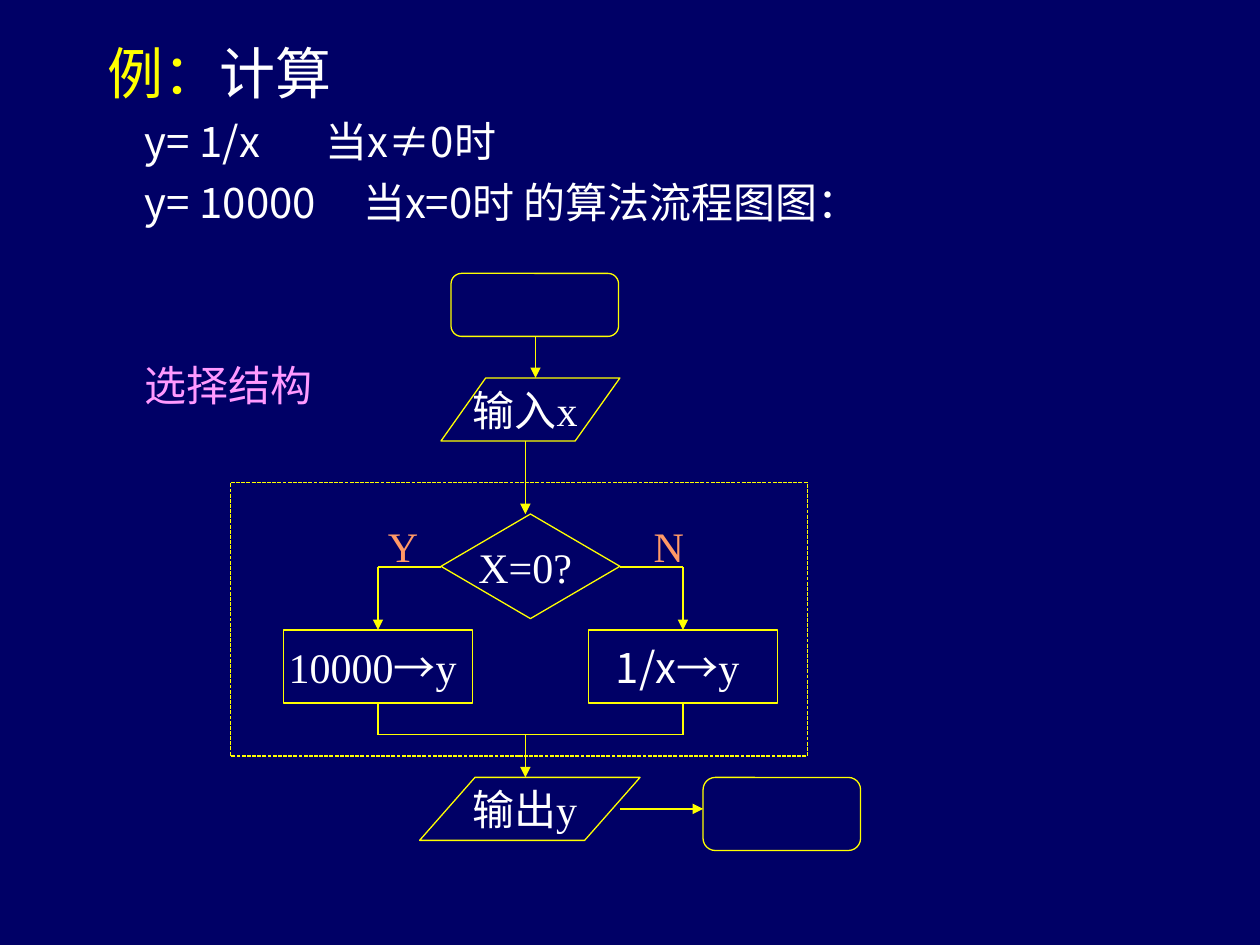
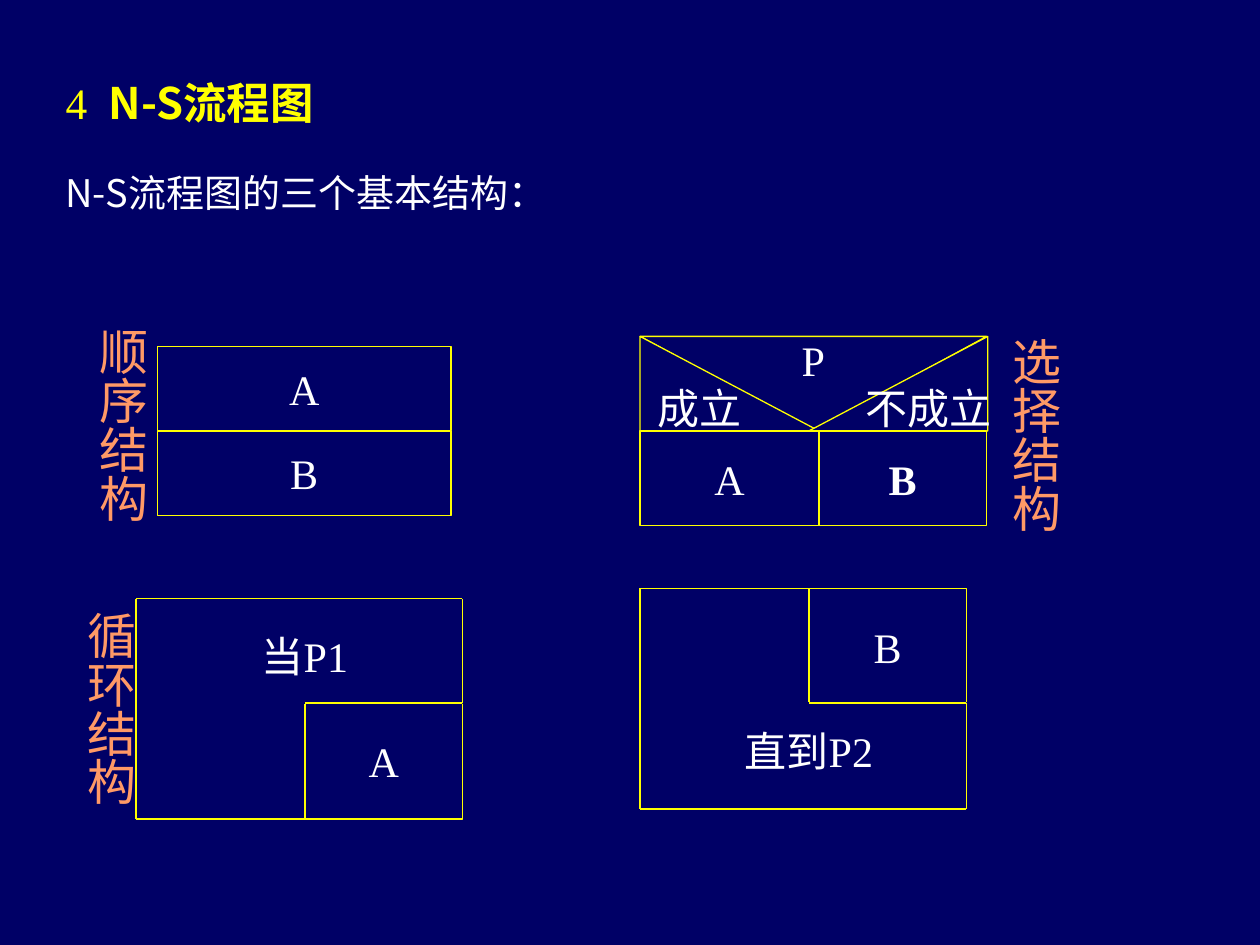
from lxml import etree
from pptx import Presentation
from pptx.dml.color import RGBColor
from pptx.enum import dml, shapes, text
from pptx.oxml import ns
from pptx.util import Inches, Pt

# Shared style
NAVY, YELLOW, WHITE, ORANGE, PINK = "000066", "FFFF00", "FFFFFF", "FF9966", "FF99FF"
SANS, SERIF = "Noto Sans CJK SC", "Times New Roman"
LEFT, CENTER = text.PP_ALIGN.LEFT, text.PP_ALIGN.CENTER
LINE_WIDTH = Pt(0.75)


def rgb(hex_colour):
    return RGBColor.from_string(hex_colour)


def write(paragraph, *runs, size=24, font=SERIF, colour=WHITE, bold=False,
          align=LEFT, before=0, line=None):
    """Fill a paragraph; a run is a string or (string, own format)."""
    paragraph.alignment = align
    paragraph.space_before = Pt(before)
    if line:
        paragraph.line_spacing = Pt(line)
    properties = paragraph._p.get_or_add_pPr()
    properties.set("marL", "0")
    properties.set("indent", "0")
    etree.SubElement(properties, ns.qn("a:buNone"))
    for item in runs:
        words, own = (item, {}) if isinstance(item, str) else item
        run = paragraph.add_run()
        run.text = words
        run.font.size = Pt(size)
        run.font.name = own.get("font", font)
        run.font.bold = own.get("bold", bold)
        run.font.color.rgb = rgb(own.get("colour", colour))
        run_properties = run._r.get_or_add_rPr()
        if "spacing" in own:
            run_properties.set("spc", str(round(own["spacing"] * 100)))
        etree.SubElement(run_properties, ns.qn("a:ea"), typeface=SANS)


presentation = Presentation()
presentation.slide_width, presentation.slide_height = Inches(10), Inches(7.5)
background = presentation.slide_master.background.fill
background.solid()
background.fore_color.rgb = rgb(NAVY)
layout = presentation.slide_layouts[1]
choice_slide = presentation.slides.add_slide(layout)
ns_slide = presentation.slides.add_slide(layout)

# Titles and body text: slide, placeholder, box, paragraphs
placeholders = [
    (choice_slide, 0, (0.75, 0.27, 8.75, 0.6), [
        (["例：", ("计算", {"colour": WHITE})],
         {"size": 32, "font": SANS, "colour": YELLOW})]),
    (choice_slide, 1, (1.05, 0.87, 8.45, 2.6), [
        (["y= 1/x", (" ", {"spacing": 32.2}), "当x≠0时"],
         {"font": SANS, "line": 28.8}),
        (["y= 10000", (" ", {"spacing": 21.5}), "当x=0时 的算法流程图图："],
         {"font": SANS, "line": 28.8, "before": 6}),
        (["选择结构"], {"font": SANS, "colour": PINK, "line": 28.8, "before": 75.5})]),
    (ns_slide, 0, (0.42, 0.51, 8.83, 0.6), [
        (["4", (" ", {"spacing": 6.2}), ("N-S流程图", {"font": SANS, "bold": True})],
         {"size": 24.8, "colour": YELLOW})]),
    (ns_slide, 1, (0.42, 1.3, 8.83, 0.6), [
        (["N-S流程图的三个基本结构："], {"size": 21.7, "font": SANS, "line": 26})]),
]
for slide, index, box, paragraphs in placeholders:
    placeholder = slide.placeholders[index]
    placeholder.left, placeholder.top, placeholder.width, placeholder.height = map(Inches, box)
    frame = placeholder.text_frame
    frame.auto_size = text.MSO_AUTO_SIZE.NONE
    for number, (runs, style) in enumerate(paragraphs):
        paragraph = frame.add_paragraph() if number else frame.paragraphs[0]
        write(paragraph, *runs, **style)

# Diagram shapes: kind, box, runs, options
RECT, ROUND = shapes.MSO_SHAPE.RECTANGLE, shapes.MSO_SHAPE.ROUNDED_RECTANGLE
SLANTED, DIAMOND = shapes.MSO_SHAPE.PARALLELOGRAM, shapes.MSO_SHAPE.DIAMOND
TRIANGLE, CORNER = shapes.MSO_SHAPE.ISOSCELES_TRIANGLE, shapes.MSO_SHAPE.RIGHT_TRIANGLE

flowchart_shapes = [
    (ROUND, (3.58, 2.17, 1.33, 0.5), [], {}),
    (SLANTED, (3.5, 3, 1.42, 0.5), [("输入", {"font": SANS}), "x "], {"adjust": 0.71}),
    (RECT, (1.83, 3.83, 4.58, 2.17), [], {"dashed": True}),
    (DIAMOND, (3.5, 4.08, 1.42, 0.83), ["X=0? "], {}),
    (RECT, (2.25, 5, 1.5, 0.58), ["10000", ("→", {"font": SANS}), "y "], {}),
    (RECT, (4.67, 5, 1.5, 0.58), [("1/x→", {"font": SANS}), "y "], {}),
    (SLANTED, (3.33, 6.17, 1.75, 0.5), [("输出", {"font": SANS}), "y "], {"adjust": 0.88}),
    (ROUND, (5.58, 6.17, 1.25, 0.58), [], {}),
]
ns_shapes = [
    # Sequence
    (RECT, (1.25, 2.75, 2.33, 0.67), ["A"], {}),
    (RECT, (1.25, 3.42, 2.33, 0.67), ["B"], {}),
    # Selection
    (TRIANGLE, (5.08, 2.67, 2.75, 0.75), ["P"], {"flip": "flipV"}),
    (CORNER, (5.08, 2.67, 1.42, 0.75), ["成立"], {}),
    (CORNER, (6.42, 2.67, 1.42, 0.75), ["不成立"], {"flip": "flipH"}),
    (RECT, (5.08, 3.42, 1.42, 0.75), ["A"], {}),
    (RECT, (6.5, 3.42, 1.33, 0.75), [("B", {"bold": True})], {}),
    # Loops
    (RECT, (2.42, 5.58, 1.25, 0.92), ["A"], {}),
    (RECT, (6.42, 4.67, 1.25, 0.92), ["B"], {}),
    (RECT, (1.17, 4.83, 2.5, 0.75), ["当P1"], {"line": NAVY}),
    (RECT, (5.17, 5.58, 2.5, 0.75), ["直到P2"], {"line": NAVY}),
]

# Diagram lines: points of each path, then whether it ends in an arrowhead
flowchart_paths = [
    ([(4.25, 2.67), (4.25, 3)], True),
    ([(4.17, 3.5), (4.17, 4.08)], True),
    ([(3.5, 4.5), (3, 4.5), (3, 5)], True),
    ([(4.92, 4.5), (5.42, 4.5), (5.42, 5)], True),
    ([(3, 5.58), (3, 5.83), (5.42, 5.83), (5.42, 5.58)], False),
    ([(4.17, 5.83), (4.17, 6.17)], True),
    ([(4.92, 6.42), (5.58, 6.42)], True),
]
ns_paths = [
    ([(2.42, 6.5), (1.08, 6.5), (1.08, 4.75), (3.67, 4.75), (3.67, 5.58), (2.42, 5.58)], False),
    ([(6.5, 4.67), (5.08, 4.67), (5.08, 6.42), (7.67, 6.42), (7.67, 5.58), (6.42, 5.58)], False),
]

for slide, diagram_shapes, paths in [(choice_slide, flowchart_shapes, flowchart_paths),
                                     (ns_slide, ns_shapes, ns_paths)]:
    for kind, box, runs, options in diagram_shapes:
        shape = slide.shapes.add_shape(kind, *map(Inches, box))
        shape.shadow.inherit = False
        shape.fill.solid()
        shape.fill.fore_color.rgb = rgb(NAVY)
        shape.line.color.rgb = rgb(options.get("line", YELLOW))
        shape.line.width = LINE_WIDTH
        if "dashed" in options:
            shape.line.dash_style = dml.MSO_LINE.SQUARE_DOT
        if "adjust" in options:
            shape.adjustments[0] = options["adjust"]
        frame = shape.text_frame
        frame.word_wrap = False
        frame.vertical_anchor = text.MSO_ANCHOR.MIDDLE
        if "flip" in options:
            shape._element.spPr.xfrm.set(options["flip"], "1")
        if options.get("flip") == "flipV":
            frame._txBody.bodyPr.set("rot", "10800000")  # keep the letter upright
        if runs:
            write(frame.paragraphs[0], *runs, align=CENTER)

    for points, arrow in paths:
        for start, end in zip(points, points[1:]):
            connector = slide.shapes.add_connector(
                shapes.MSO_CONNECTOR.STRAIGHT, *map(Inches, start + end))
            connector.line.color.rgb = rgb(YELLOW)
            connector.line.width = LINE_WIDTH
            if arrow and end == points[-1]:
                etree.SubElement(connector.line._get_or_add_ln(),
                                 ns.qn("a:tailEnd"), type="triangle")
            etree.SubElement(connector._element.spPr, ns.qn("a:effectLst"))

# Branch labels
for answer, left in [("Y", 2.98), ("N", 5.09)]:
    label = choice_slide.shapes.add_textbox(*map(Inches, (left, 4.08, 0.44, 0.5)))
    label.text_frame.word_wrap = False
    write(label.text_frame.paragraphs[0], answer, colour=ORANGE)

# Vertical structure names
for name, left, top in [("顺序结构", 0.59, 2.5), ("选择结构", 7.84, 2.58), ("循环结构", 0.5, 4.75)]:
    label = ns_slide.shapes.add_textbox(*map(Inches, (left, top, 0.66, 1.85)))
    frame = label.text_frame
    frame.word_wrap = True
    frame.margin_left = frame.margin_right = Inches(0.05)
    frame.margin_top = frame.margin_bottom = Inches(0.1)
    frame._txBody.bodyPr.set("vert", "eaVert")
    write(frame.paragraphs[0], name, size=28, font=SANS, colour=ORANGE)

presentation.save("out.pptx")
